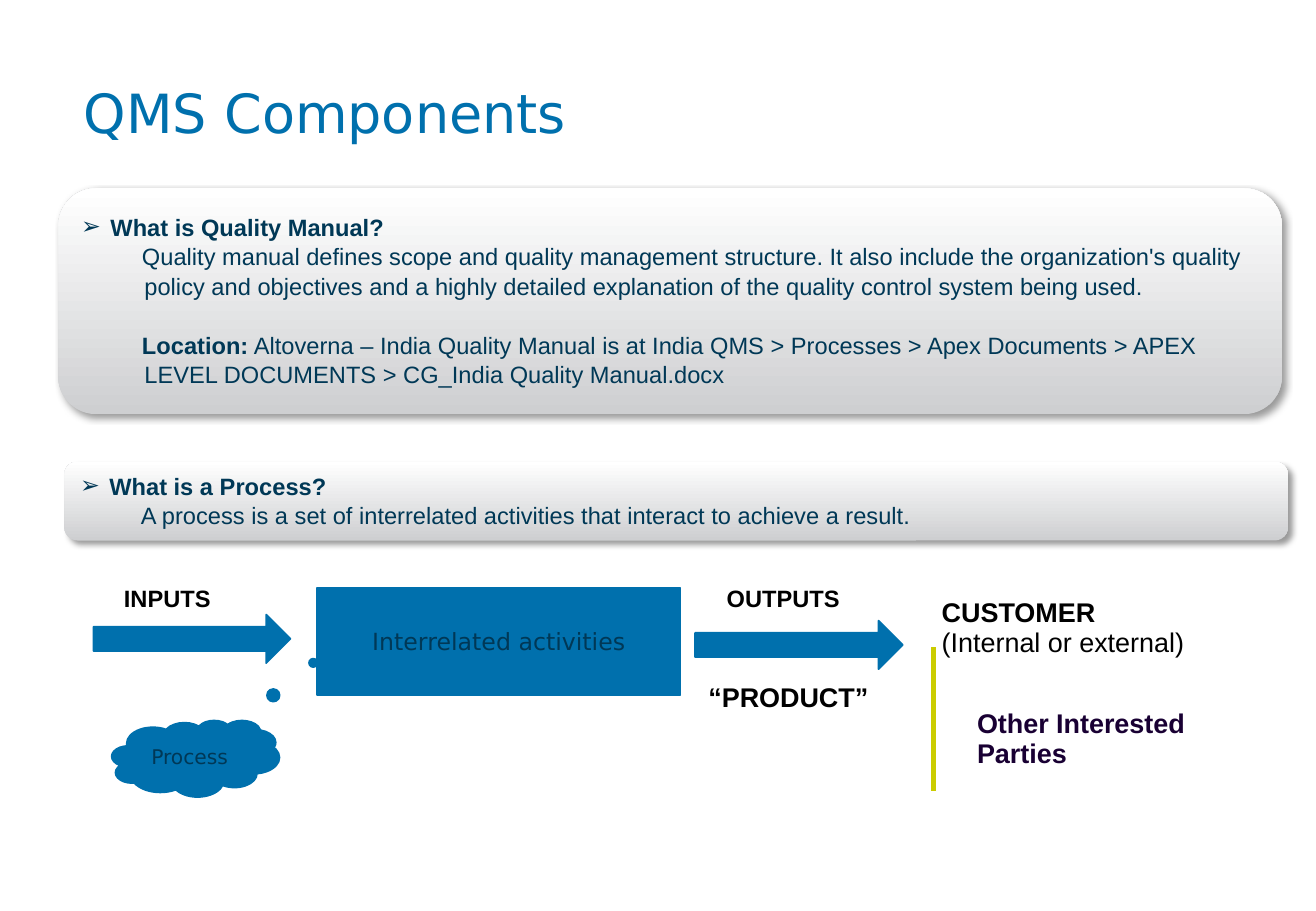
from dataclasses import dataclass
from lxml.etree import SubElement
from pptx import Presentation
from pptx.dml.color import RGBColor as RGB
from pptx.enum.shapes import MSO_CONNECTOR as Link, MSO_SHAPE as Kind
from pptx.enum.text import MSO_ANCHOR as Anchor, PP_ALIGN as Align
from pptx.oxml.ns import qn
from pptx.util import Inches, Pt


@dataclass(frozen=True)
class Theme:
    blue: str = "0070AD"
    navy: str = "003856"
    black: str = "000000"
    plum: str = "190033"
    lime: str = "CBCC00"
    grey: str = "CECFD1"
    white: str = "FFFFFF"
    sans: str = "DejaVu Sans"
    body: str = "Arial"
    title: int = 32
    large: int = 16
    text: int = 14
    small: int = 12


theme = Theme()


def style(run, size, color, face, bold=False):
    font = run.font
    font.size = Pt(size)
    font.color.rgb = RGB.from_string(color)
    font.name = face
    font.bold = bold


def inset(frame, left, top, right, foot):
    frame.margin_left, frame.margin_top = Inches(left), Inches(top)
    frame.margin_right, frame.margin_bottom = Inches(right), Inches(foot)


def place(slide, kind, box):
    shape = slide.shapes.add_shape(kind, *map(Inches, box))
    shape.shadow.inherit = False
    return shape


def solid(slide, kind, box, text="", size=theme.text):
    shape = place(slide, kind, box)
    shape.fill.solid()
    shape.fill.fore_color.rgb = RGB.from_string(theme.blue)
    shape.line.color.rgb = RGB.from_string(theme.blue)
    shape.line.width = Pt(1)
    if text:
        frame = shape.text_frame
        frame.word_wrap = True
        frame.vertical_anchor = Anchor.MIDDLE
        para = frame.paragraphs[0]
        para.text = text
        para.alignment = Align.CENTER
        style(para.runs[0], size, theme.navy, theme.sans)
    return shape


def label(slide, box, lines, size, color=theme.black, first=0.96):
    frame = slide.shapes.add_textbox(*map(Inches, box)).text_frame
    frame.word_wrap = True
    inset(frame, 0, 0, 0, 0)
    for i, (text, bold) in enumerate(lines):
        para = frame.add_paragraph() if i else frame.paragraphs[0]
        para.text = text
        para.line_spacing = 0.96 if i else first
        style(para.runs[0], size, color, theme.body, bold)


def header(slide, box, text):
    frame = slide.shapes.add_textbox(*map(Inches, box)).text_frame
    frame.word_wrap = True
    frame.vertical_anchor = Anchor.MIDDLE
    inset(frame, 0.33, 0.04, 0.18, 0.04)
    frame.text = text
    style(frame.paragraphs[0].runs[0], theme.title, theme.blue, theme.sans)


def shade(shape):
    shape.fill.gradient()
    shape.fill.gradient_angle = 90
    for stop, color in zip(shape.fill.gradient_stops, (theme.grey, theme.white)):
        stop.color.rgb = RGB.from_string(color)
    shape.line.fill.background()
    glow = shape._element.spPr.find(qn("a:effectLst"))
    drop = SubElement(glow, qn("a:outerShdw"), blurRad=str(Pt(4)),
                      dist=str(Pt(3)), dir="2700000", algn="tl", rotWithShape="0")
    tone = SubElement(drop, qn("a:srgbClr"), val=theme.black)
    SubElement(tone, qn("a:alpha"), val="40000")


def indent(para, left, hang, mark=None):
    props = para._p.get_or_add_pPr()
    props.set("marL", str(Inches(left)))
    props.set("indent", str(Inches(hang)))
    if mark:
        SubElement(props, qn("a:buFont"), typeface=theme.body)
        SubElement(props, qn("a:buChar"), char=mark)
    else:
        SubElement(props, qn("a:buNone"))


def panel(slide, box, head, parts):
    shape = place(slide, Kind.ROUNDED_RECTANGLE, box)
    shade(shape)
    frame = shape.text_frame
    frame.word_wrap = True
    frame.vertical_anchor = Anchor.MIDDLE
    inset(frame, 0.1, 0.08, 0.05, 0.1)
    for i, runs in enumerate([[(head, True)], *parts]):
        para = frame.add_paragraph() if i else frame.paragraphs[0]
        if i:
            para.level = 1
            indent(para, 0.52, -0.02)
        else:
            indent(para, 0.24, -0.24, "➢")
        para.alignment = Align.LEFT
        para.line_spacing = 1.05
        if i > 1:
            para.space_before = Pt(17)
        for text, bold in runs:
            run = para.add_run()
            run.text = text
            style(run, theme.text, theme.navy, theme.body, bold)


def flow(slide, box):
    x, y, wide, high = box
    bar = slide.shapes.add_connector(
        Link.STRAIGHT, Inches(x + 6.91), Inches(y + high - 0.05),
        Inches(x + 6.91), Inches(y + 0.56))
    bar.line.color.rgb = RGB.from_string(theme.lime)
    bar.line.width = Pt(3)
    SubElement(bar._element.spPr, qn("a:effectLst"))

    label(slide, (x + 0.25, y, 1.06, 0.33), [("INPUTS", True)],
          theme.text, first=Pt(19.4))
    label(slide, (x + 6.98, y + 0.13, wide - 6.98, 0.68),
          [("CUSTOMER", True), ("(Internal or external)", False)],
          theme.large, first=Pt(19.4))
    label(slide, (x + 7.27, y + 1.04, 2.15, 0.68),
          [("Other Interested", True), ("Parties", True)],
          theme.large, theme.plum, Pt(19.4))
    label(slide, (x + 5.21, y + 0.05, 1.54, 0.3), [("OUTPUTS", True)], theme.text)
    label(slide, (x + 5.06, y + 0.85, 1.84, 0.3), [("“PRODUCT”", True)], theme.large)

    solid(slide, Kind.RECTANGLE, (x + 1.84, y + 0.07, 2.99, 0.88),
          "Interrelated activities")
    for left, top, span in ((0, 0.29, 1.62), (4.95, 0.34, 1.71)):
        solid(slide, Kind.RIGHT_ARROW, (x + left, y + top, span, 0.4))
    cloud = solid(slide, Kind.CLOUD_CALLOUT, (x + 0.15, y + 1.16, 1.38, 0.63),
                  "Process", theme.small)
    cloud.adjustments[0] = 0.92
    cloud.adjustments[1] = -1.64


def main():
    deck = Presentation()
    deck.slide_width, deck.slide_height = Inches(10.83), Inches(7.5)
    slide = deck.slides.add_slide(deck.slide_layouts[6])
    header(slide, (0.36, 0.45, 10.11, 0.94), "QMS Components")
    flow(slide, (0.77, 4.77, 9.47, 1.79))
    panel(slide, (0.48, 1.55, 10.07, 1.86), "What is Quality Manual?", [
        [("Quality manual defines scope and quality management structure. "
          "It also include the organization's quality policy and objectives "
          "and a highly detailed explanation of the quality control system "
          "being used.", False)],
        [("Location:", True),
         (" Altoverna – India Quality Manual is at India QMS > Processes > "
          "Apex Documents > APEX LEVEL DOCUMENTS > "
          "CG_India Quality Manual.docx", False)],
    ])
    panel(slide, (0.53, 3.8, 10.07, 0.65), "What is a Process?", [
        [("A process is a set of interrelated activities that interact "
          "to achieve a result.", False)],
    ])
    deck.save("out.pptx")


if __name__ == "__main__":
    main()
